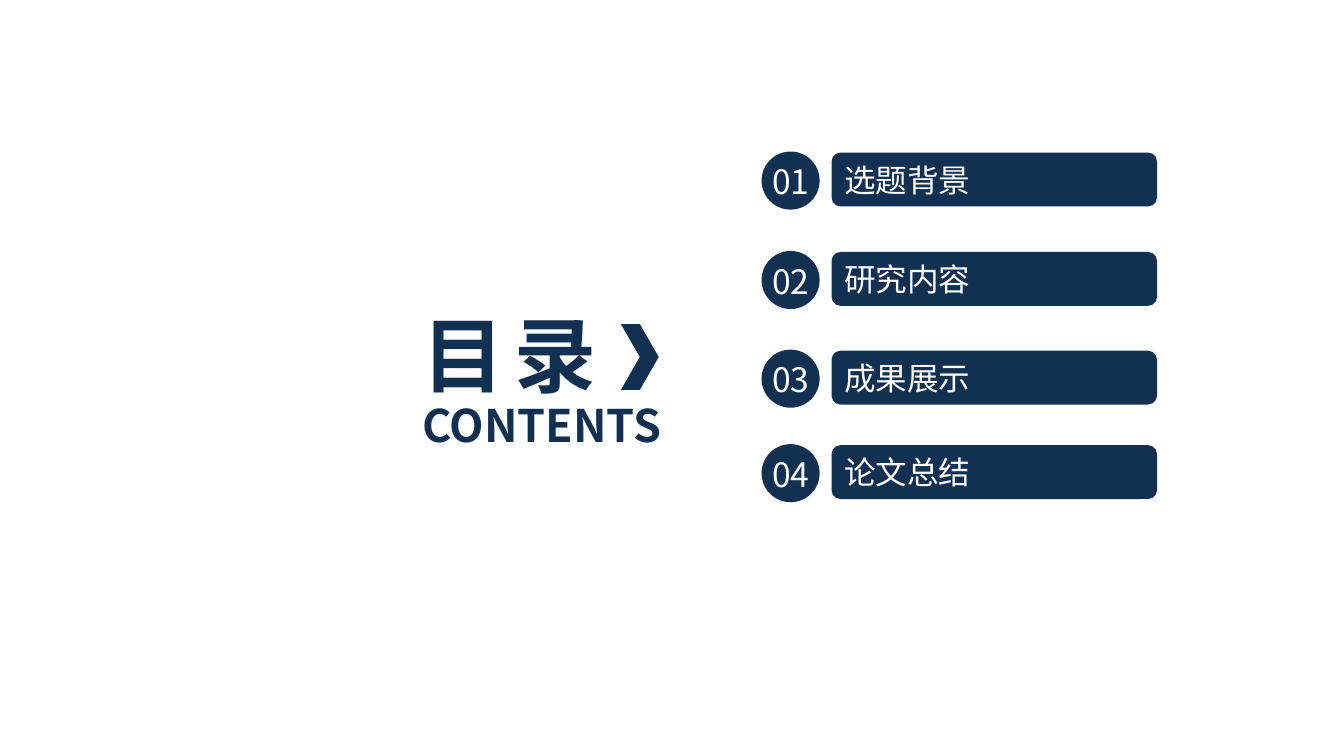
from dataclasses import dataclass

from lxml import etree
from pptx import Presentation
from pptx.dml.color import RGBColor
from pptx.enum.shapes import MSO_SHAPE
from pptx.enum.text import MSO_ANCHOR, MSO_AUTO_SIZE, PP_ALIGN
from pptx.oxml.ns import qn
from pptx.util import Pt


@dataclass(frozen=True)
class Theme:
    """Colours, font and type sizes of the slide."""
    navy: RGBColor = RGBColor(0x11, 0x30, 0x52)
    white: RGBColor = RGBColor(0xFF, 0xFF, 0xFF)
    font: str = "Noto Sans CJK SC"
    title: float = 58.6
    subtitle: float = 32
    number: float = 24
    topic: float = 22.6


def write(frame, text, *, size, color, font, bold=False, align=PP_ALIGN.LEFT, spacing=None):
    """Put one formatted line of text into a text frame."""
    frame.vertical_anchor = MSO_ANCHOR.MIDDLE
    frame.auto_size = MSO_AUTO_SIZE.SHAPE_TO_FIT_TEXT
    frame.word_wrap = True
    line = frame.paragraphs[0]
    line.alignment = align
    run = line.add_run()
    run.text = text
    run.font.size = Pt(size)
    run.font.bold = bold
    run.font.color.rgb = color
    run.font.name = font
    properties = run.font._element
    etree.SubElement(properties, qn("a:ea")).set("typeface", font)
    if spacing is not None:
        properties.set("spc", str(round(spacing * 100)))


class ContentsSlide:
    """Draws the parts of a contents page on one slide."""

    def __init__(self, slide, theme):
        """Keep the slide and its style."""
        self.slide = slide
        self.theme = theme

    def block(self, kind, left, top, width, height):
        """Add a plain navy shape."""
        block = self.slide.shapes.add_shape(kind, Pt(left), Pt(top), Pt(width), Pt(height))
        block.shadow.inherit = False
        block.fill.solid()
        block.fill.fore_color.rgb = self.theme.navy
        block.line.fill.background()
        return block

    def label(self, text, left, top, width, height, **style):
        """Add a text box with one line."""
        label = self.slide.shapes.add_textbox(Pt(left), Pt(top), Pt(width), Pt(height))
        write(label.text_frame, text, font=self.theme.font, **style)

    def heading(self, title, subtitle):
        """Add the two-line heading and its chevron."""
        theme = self.theme
        self.label(title, 294.5, 213.5, 225.5, 78.5, size=theme.title,
                   color=theme.navy, bold=True, spacing=-3)
        self.label(subtitle, 294.5, 280, 222, 46, size=theme.subtitle,
                   color=theme.navy, bold=True)
        self.block(MSO_SHAPE.CHEVRON, 443.5, 231.5, 27, 47)

    def entry(self, number, topic, top):
        """Add a numbered disc and the topic bar beside it."""
        theme = self.theme
        bar = self.block(MSO_SHAPE.ROUNDED_RECTANGLE, 594, top, 232.5, 38.5)
        write(bar.text_frame, topic, size=theme.topic, color=theme.white,
              font=theme.font, align=PP_ALIGN.JUSTIFY)
        self.block(MSO_SHAPE.OVAL, 544, top - 0.75, 41.5, 41.5)
        self.label(f"{number:02d}", 540, top + 2.5, 50, 36, size=theme.number,
                   color=theme.white, align=PP_ALIGN.CENTER)


def main():
    """Build and save the contents slide."""
    deck = Presentation()
    deck.slide_width, deck.slide_height = Pt(960), Pt(540)
    page = ContentsSlide(deck.slides.add_slide(deck.slide_layouts[6]), Theme())
    page.heading("目 录", "CONTENTS")
    topics = {"选题背景": 109, "研究内容": 180, "成果展示": 250.5, "论文总结": 318}
    for number, (topic, top) in enumerate(topics.items(), start=1):
        page.entry(number, topic, top)
    deck.save("out.pptx")


if __name__ == "__main__":
    main()
